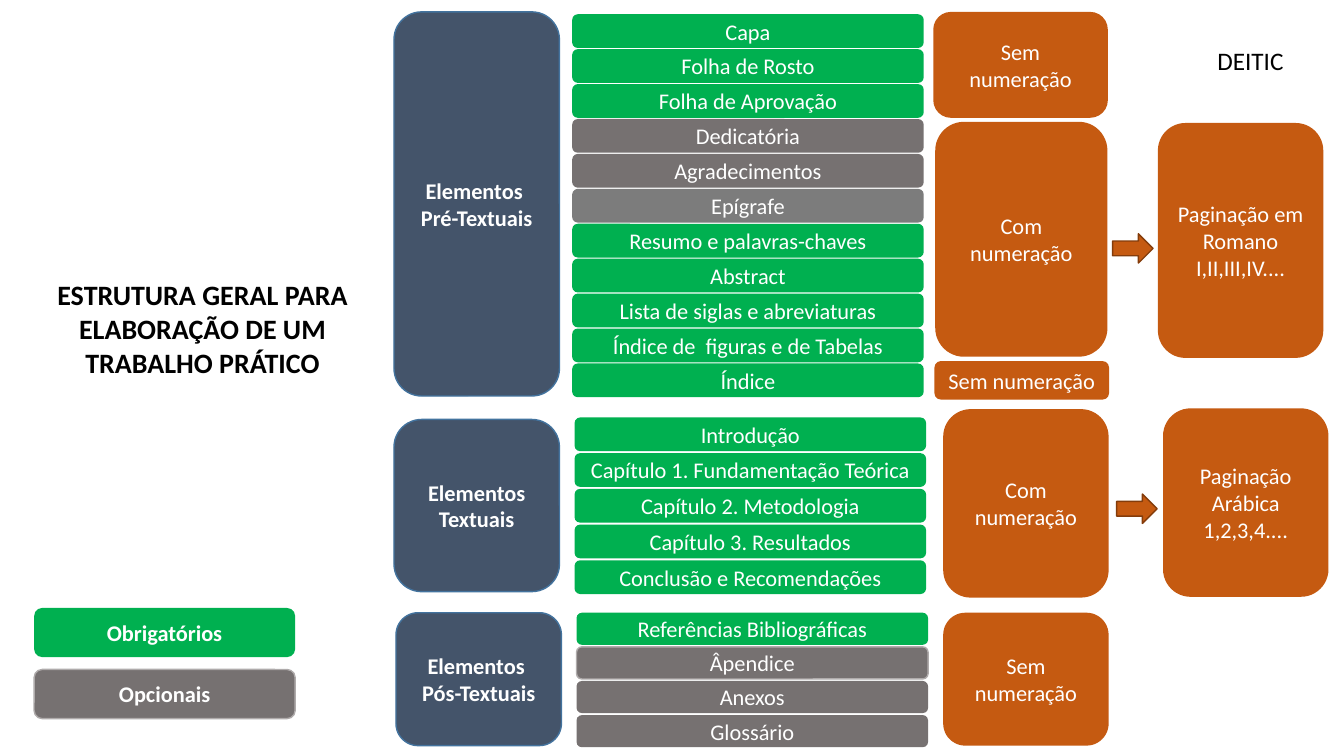
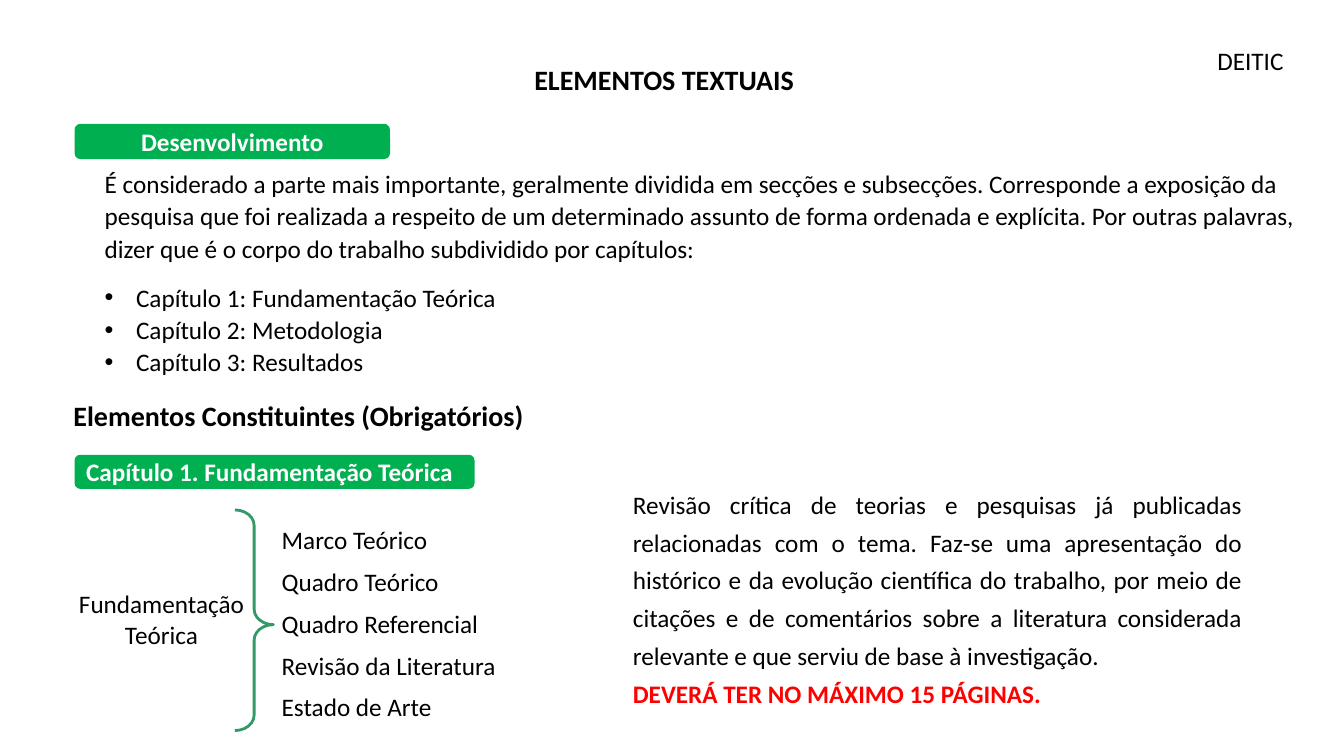
from lxml.etree import SubElement
from pptx import Presentation
from pptx.dml.color import RGBColor
from pptx.enum.shapes import MSO_SHAPE as SHAPE
from pptx.enum.text import MSO_ANCHOR as ANCHOR, MSO_AUTO_SIZE as FIT, PP_ALIGN as ALIGN
from pptx.oxml.ns import qn
from pptx.util import Cm, Pt

FONT = "Calibri"
COLORS = {
    "black": "000000", "white": "FFFFFF", "red": "FF0000",
    "navy": "44546A", "navy_line": "43739E",
    "green": "00B050", "brace": "339966",
    "gray": "767171", "gray_soft": "7C7C7C", "gray_line": "AFABAB",
    "orange": "C55A11", "orange_line": "843C0B",
}


def rgb(name):
    return RGBColor.from_string(COLORS[name])


def write(tf, text, size=18, color="black", bold=False, align=ALIGN.LEFT,
          spacing=None, after=None, bullet=None):
    """Add one paragraph per line of text, filling the empty first one."""
    for line in text.split("\n"):
        p = tf.paragraphs[0] if not tf.text else tf.add_paragraph()
        p.alignment = align
        if spacing:
            p.line_spacing = spacing
        if after:
            p.space_after = Pt(after)
        if bullet:
            pPr = p._p.get_or_add_pPr()
            indent = Cm(0.79)
            pPr.set("marL", str(indent))
            pPr.set("indent", str(-indent))
            SubElement(pPr, qn("a:buFont"), typeface="Arial")
            SubElement(pPr, qn("a:buChar"), char=bullet)
        r = p.add_run()
        r.text = line
        r.font.name = FONT
        r.font.size = Pt(size)
        r.font.bold = bold
        r.font.color.rgb = rgb(color)


class Deck:
    def __init__(self):
        self.prs = Presentation()
        self.prs.slide_width, self.prs.slide_height = Cm(33.87), Cm(19.05)
        self.s = None

    def slide(self):
        """Start a slide with the department label in its corner."""
        self.s = self.prs.slides.add_slide(self.prs.slide_layouts[6])
        self.text(30.43, 1.02, 2.18, 1.02, "DEITIC", wrap=False)

    def shape(self, kind, x, y, w, h, fill=None, line=None, weight=1):
        sp = self.s.shapes.add_shape(kind, Cm(x), Cm(y), Cm(w), Cm(h))
        sp.shadow.inherit = False
        if fill:
            sp.fill.solid()
            sp.fill.fore_color.rgb = rgb(fill)
        else:
            sp.fill.background()
        if line:
            sp.line.color.rgb = rgb(line)
            sp.line.width = Pt(weight)
        else:
            sp.line.fill.background()
        return sp

    def box(self, x, y, w, h, text, fill="green", line=None, **fmt):
        """Draw a rounded box with white text."""
        sp = self.shape(SHAPE.ROUNDED_RECTANGLE, x, y, w, h, fill, line)
        tf = sp.text_frame
        tf.word_wrap = True
        tf.vertical_anchor = ANCHOR.MIDDLE
        write(tf, text, **{"size": 16, "color": "white", "align": ALIGN.CENTER, **fmt})

    def arrow(self, x, y):
        self.shape(SHAPE.RIGHT_ARROW, x, y, 1.02, 0.74, "orange", "orange_line")

    def text(self, x, y, w, h, text, wrap=True, **fmt):
        tf = self.s.shapes.add_textbox(Cm(x), Cm(y), Cm(w), Cm(h)).text_frame
        tf.word_wrap = wrap
        tf.auto_size = FIT.SHAPE_TO_FIT_TEXT
        write(tf, text, **fmt)
        return tf

    def heading(self, x, y, w, h, text, **fmt):
        self.text(x, y, w, h, text, size=20, bold=True, **fmt)


def structure_slide(deck):
    deck.slide()
    deck.heading(1.17, 6.88, 7.87, 3.68, align=ALIGN.CENTER,
                 text="ESTRUTURA GERAL PARA ELABORAÇÃO DE UM TRABALHO PRÁTICO")

    for y, label, fill, line in [(15.32, "Obrigatórios", "green", None),
                                 (16.87, "Opcionais", "gray", "gray_line")]:
        deck.box(0.86, y, 6.58, 1.24, label, fill, line, bold=True)

    for x, y, h, label in [(9.93, 0.3, 9.68, "Elementos \nPré-Textuais"),
                           (9.93, 10.57, 4.34, "Elementos Textuais"),
                           (9.98, 15.44, 3.35, "Elementos \nPós-Textuais")]:
        deck.box(x, y, 4.17, h, label, "navy", "navy_line", bold=True)

    # Each part: left, top, row pitch, row height, labels
    parts = [
        (14.42, 0.36, 0.88, 0.85, [
            "Capa", "Folha de Rosto", "Folha de Aprovação", "Dedicatória",
            "Agradecimentos", "Epígrafe", "Resumo e palavras-chaves", "Abstract",
            "Lista de siglas e abreviaturas", "Índice de  figuras e de Tabelas",
            "Índice"]),
        (14.48, 10.52, 0.9, 0.85, [
            "Introdução", "Capítulo 1. Fundamentação Teórica",
            "Capítulo 2. Metodologia", "Capítulo 3. Resultados",
            "Conclusão e Recomendações"]),
        (14.53, 15.44, 0.86, 0.81, [
            "Referências Bibliográficas", "Âpendice", "Anexos", "Glossário"]),
    ]
    optional = {
        "Dedicatória": ("gray", None), "Agradecimentos": ("gray", None),
        "Epígrafe": ("gray_soft", None), "Âpendice": ("gray", "gray_line"),
        "Anexos": ("gray", None), "Glossário": ("gray", None),
    }
    for x, top, pitch, h, labels in parts:
        for i, label in enumerate(labels):
            fill, line = optional.get(label, ("green", None))
            deck.box(x, top + i * pitch, 8.86, h, label, fill, line)

    numbering = [
        (23.52, 0.3, 4.4, 2.67, "Sem\nnumeração"),
        (23.57, 3.07, 4.34, 5.92, "Com numeração"),
        (23.55, 9.1, 4.4, 0.97, "Sem numeração"),
        (23.77, 10.31, 4.17, 4.75, "Com numeração"),
        (23.77, 15.44, 4.17, 3.35, "Sem numeração"),
        (29.18, 3.1, 4.17, 5.92, "Paginação em Romano\nI,II,III,IV...."),
        (29.31, 10.29, 4.17, 4.75, "Paginação Arábica\n1,2,3,4...."),
    ]
    for x, y, w, h, label in numbering:
        deck.box(x, y, w, h, label, "orange")
    deck.arrow(28.04, 5.89)
    deck.arrow(28.14, 12.45)


def textual_slide(deck):
    deck.slide()
    deck.heading(8.69, 1.45, 16.1, 1.12, "ELEMENTOS TEXTUAIS", align=ALIGN.CENTER)
    deck.box(1.88, 3.12, 7.95, 0.89, "Desenvolvimento", size=18, bold=True)
    tf = deck.text(
        2.39, 4.06, 30.66, 5.61, spacing=1.07, after=12,
        text="É considerado a parte mais importante, geralmente dividida em secções e "
             "subsecções. Corresponde a exposição da pesquisa que foi realizada a respeito "
             "de um determinado assunto de forma ordenada e explícita. Por outras palavras, "
             "dizer que é o corpo do trabalho subdividido por capítulos:")
    write(tf, "Capítulo 1: Fundamentação Teórica\nCapítulo 2: Metodologia\n"
              "Capítulo 3: Resultados", spacing=1.07, bullet="•")

    deck.heading(1.6, 9.91, 16.1, 1.12, "Elementos Constituintes (Obrigatórios)")
    deck.box(1.88, 11.46, 10.08, 0.86, "Capítulo 1. Fundamentação Teórica",
             size=18, bold=True, align=ALIGN.JUSTIFY)

    deck.text(1.68, 14.71, 4.78, 1.8, "Fundamentação\nTeórica", wrap=False,
              align=ALIGN.CENTER)
    brace = deck.shape(SHAPE.RIGHT_BRACE, 5.92, 12.85, 0.97, 5.56,
                       line="brace", weight=2)
    brace.adjustments[0], brace.adjustments[1] = 0.4, 0.52
    topics = ["Marco Teórico", "Quadro Teórico", "Quadro Referencial",
              "Revisão da Literatura", "Estado de Arte"]
    for i, topic in enumerate(topics):
        deck.text(6.85, 13.1 + i * 1.05, 6.2, 1.02, topic)

    tf = deck.text(
        15.7, 12.01, 15.85, 6.02, align=ALIGN.JUSTIFY, spacing=1.25,
        text="Revisão crítica de teorias e pesquisas já publicadas relacionadas com o tema. "
             "Faz-se uma apresentação do histórico e da evolução científica do trabalho, "
             "por meio de citações e de comentários sobre a literatura considerada "
             "relevante e que serviu de base à investigação.")
    write(tf, "DEVERÁ TER NO MÁXIMO 15 PÁGINAS.", color="red", bold=True,
          align=ALIGN.JUSTIFY, spacing=1.25)


def main():
    deck = Deck()
    structure_slide(deck)
    textual_slide(deck)
    deck.prs.save("out.pptx")


if __name__ == "__main__":
    main()
